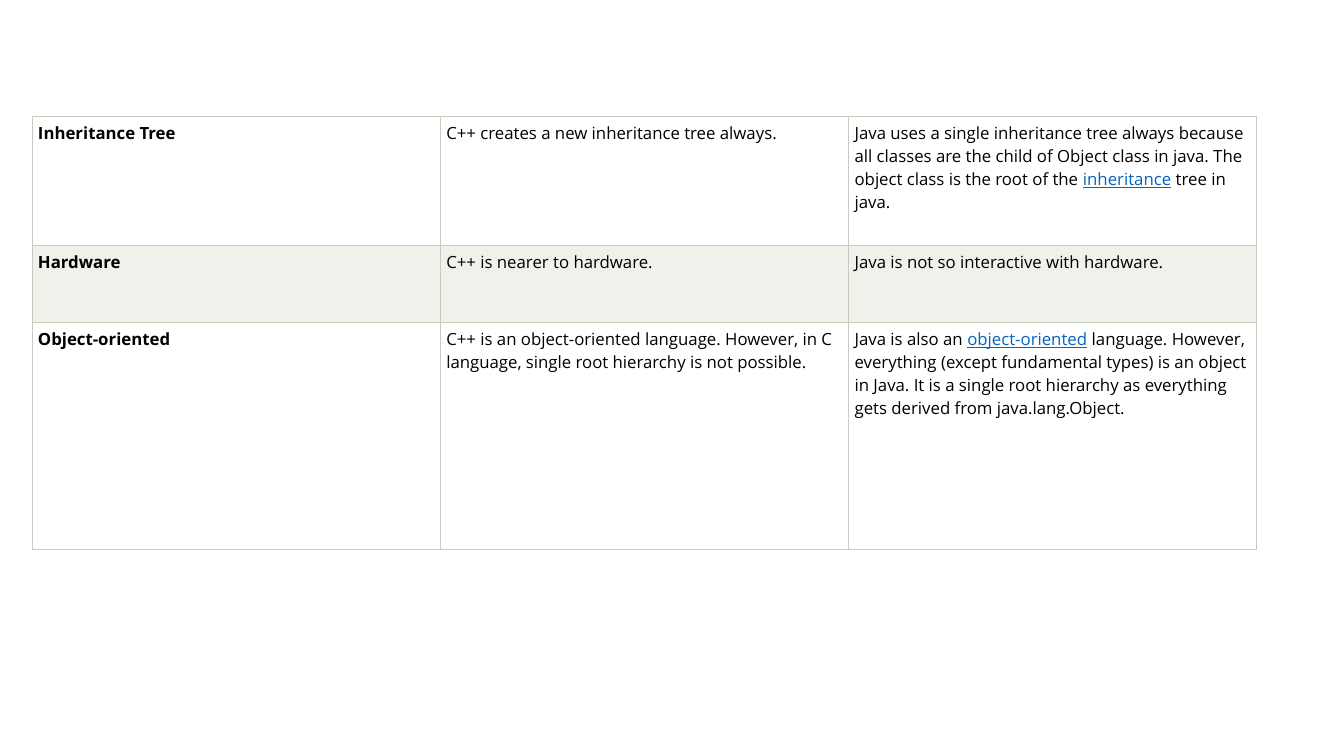
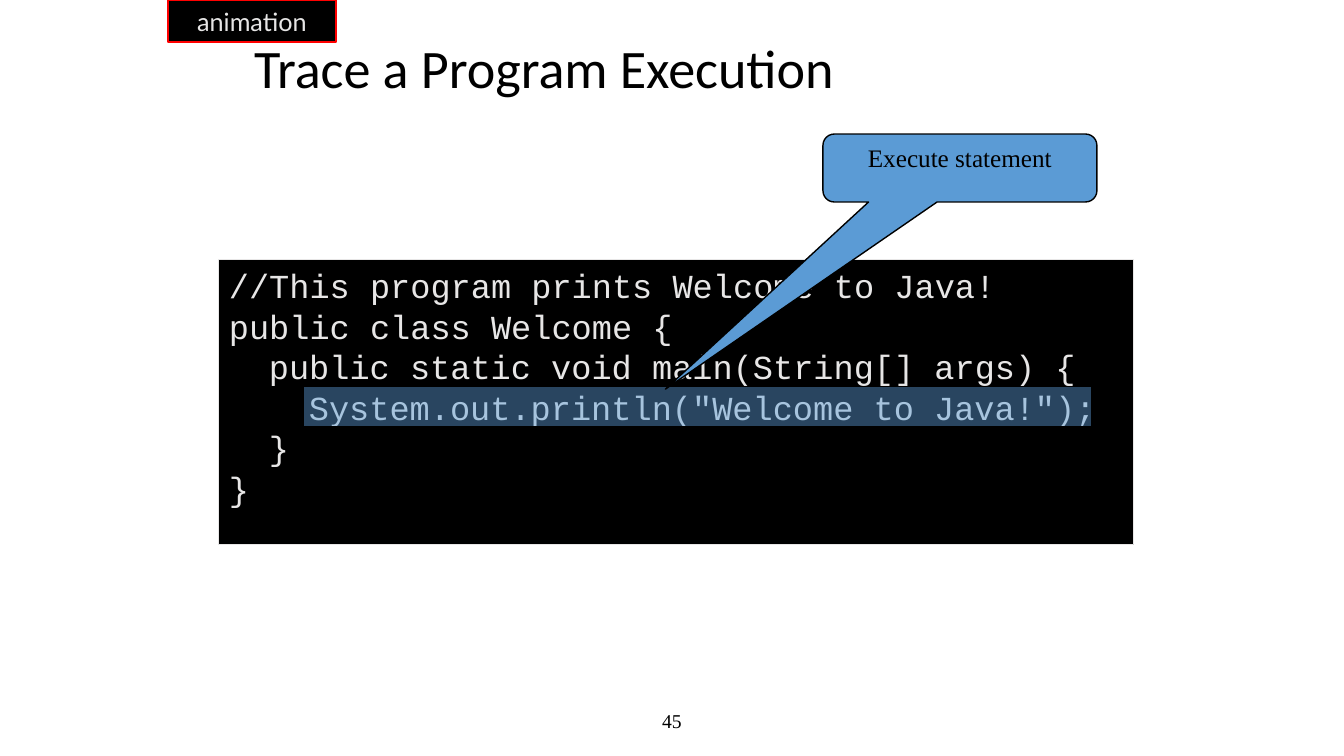
from dataclasses import dataclass

from lxml.etree import SubElement
from pptx import Presentation
from pptx.dml.color import RGBColor
from pptx.enum.shapes import MSO_SHAPE
from pptx.enum.text import MSO_ANCHOR, PP_ALIGN
from pptx.oxml.ns import qn
from pptx.util import Emu, Pt


@dataclass(frozen=True)
class Theme:
    black: str = "000000"
    white: str = "FFFFFF"
    light: str = "E7E6E6"
    blue: str = "5B9BD5"
    red: str = "FF0000"
    link: str = "0563C1"
    band: str = "EFF1EB"
    border: str = "C7CCBE"
    table_font: str = "Open Sans"
    title_font: str = "Calibri"
    code_font: str = "Courier New"
    note_font: str = "Times New Roman"
    tag_font: str = "Lato"
    table_size: float = 12
    title_size: float = 38.7
    code_size: float = 24
    label_size: float = 18
    number_size: float = 14


T = Theme()
NBSP = "\u00a0"
TITLE_ONLY, BLANK = 5, 6


def px(n):
    return Emu(round(n * 914400 / 100.8))


def place(box):
    return [px(n) for n in box]


def rgb(color):
    return RGBColor.from_string(color)


def add_run(p, text, font, size, color=T.black, bold=False, underline=False):
    r = p.add_run()
    r.text = text
    f = r.font
    f.name, f.size, f.bold, f.underline = font, Pt(size), bold, underline
    f.color.rgb = rgb(color)


def set_text(tf, text, align=PP_ALIGN.LEFT, anchor=MSO_ANCHOR.TOP, wrap=True, **fmt):
    tf.word_wrap = wrap
    tf.vertical_anchor = anchor
    p = tf.paragraphs[0]
    p.alignment = align
    add_run(p, text, **fmt)
    return p


def add_box(slide, box, fill, line, width=1, kind=MSO_SHAPE.RECTANGLE, alpha=None):
    sp = slide.shapes.add_shape(kind, *place(box))
    sp.shadow.inherit = False
    sp.fill.solid()
    sp.fill.fore_color.rgb = rgb(fill)
    if alpha is not None:
        color = sp.fill._xPr.find(qn("a:solidFill"))[0]
        SubElement(color, qn("a:alpha"), val=str(alpha * 1000))
    sp.line.color.rgb = rgb(line)
    sp.line.width = Pt(width)
    return sp


# Comparison table
def add_borders(cell):
    tcPr = cell._tc.get_or_add_tcPr()
    for side in ("lnL", "lnR", "lnT", "lnB"):
        ln = SubElement(tcPr, qn(f"a:{side}"), w=str(Pt(0.75)))
        fill = SubElement(ln, qn("a:solidFill"))
        SubElement(fill, qn("a:srgbClr"), val=T.border)


def fill_cell(cell, parts, fill, bold):
    add_borders(cell)
    cell.fill.solid()
    cell.fill.fore_color.rgb = rgb(fill)
    cell.margin_left = cell.margin_right = px(6)
    cell.margin_top = cell.margin_bottom = px(6)
    # Every second part of a cell is a link word
    for i, text in enumerate(parts):
        is_link = i % 2 == 1
        add_run(cell.text_frame.paragraphs[0], text, T.table_font, T.table_size,
                T.link if is_link else T.black, bold, is_link)


def add_comparison(slide, box, rows, heights):
    frame = slide.shapes.add_table(len(rows), len(rows[0]), *place(box))
    table = frame.table
    table.first_row = table.horz_banding = False
    for col in table.columns:
        col.width = px(box[2] / len(rows[0]))
    for i, (row, height) in enumerate(zip(rows, heights)):
        table.rows[i].height = px(height)
        for j, parts in enumerate(row):
            fill_cell(table.cell(i, j), parts, T.band if i % 2 else T.white, j == 0)


def comparison_slide(prs):
    slide = prs.slides.add_slide(prs.slide_layouts[BLANK])
    rows = [
        [["Inheritance Tree"],
         ["C++ creates a new inheritance tree always."],
         ["Java uses a single inheritance tree always because all classes are the "
          "child of Object class in java. The object class is the root of the" + NBSP,
          "inheritance", NBSP + "tree in java."]],
        [["Hardware"],
         ["C++ is nearer to hardware."],
         ["Java is not so interactive with hardware."]],
        [["Object-oriented"],
         ["C++ is an object-oriented language. However, in C language, "
          "single root hierarchy is not possible."],
         ["Java is also an" + NBSP, "object-oriented",
          NBSP + "language. However, everything (except fundamental types) is an "
          "object in Java. It is a single root hierarchy as everything gets "
          "derived from java.lang.Object."]],
    ]
    heights = [129, 77, 227]
    add_comparison(slide, (32, 116, 1225, sum(heights)), rows, heights)


# Program trace
def add_title(slide, box, text):
    title = slide.shapes.title
    title.left, title.top, title.width, title.height = place(box)
    p = set_text(title.text_frame, text, anchor=MSO_ANCHOR.MIDDLE,
                 font=T.title_font, size=T.title_size)
    p.line_spacing = 0.9


def add_code(slide, box, lines, current):
    x, y, w, _ = box
    line_height, level_width = 40.4, 40
    tf = add_box(slide, box, T.black, T.light, 0.75).text_frame
    tf.word_wrap = True
    tf.vertical_anchor = MSO_ANCHOR.TOP
    for i, (level, text) in enumerate(lines):
        p = tf.paragraphs[0] if i == 0 else tf.add_paragraph()
        p.alignment = PP_ALIGN.LEFT
        p.line_spacing = Pt(28.9)
        p.space_before = Pt(0 if i else 4)
        p._p.get_or_add_pPr().set("marL", str(px(level * level_width)))
        add_run(p, text, T.code_font, T.code_size, T.light)
    # Highlight over the current line
    left = lines[current][0] * level_width + 4
    add_box(slide, (x + left, y + 5 + current * line_height, w - left - 42, 41),
            T.blue, T.black, alpha=45)


def add_callout(slide, box, text):
    sp = add_box(slide, box, T.blue, T.black,
                 kind=MSO_SHAPE.ROUNDED_RECTANGULAR_CALLOUT)
    for i, value in enumerate((-1.075, 3.253, 0.167)):
        sp.adjustments[i] = value
    set_text(sp.text_frame, text, PP_ALIGN.CENTER,
             font=T.note_font, size=T.label_size)


def add_tag(slide, box, text):
    sp = add_box(slide, box, T.black, T.red)
    set_text(sp.text_frame, text, PP_ALIGN.CENTER, MSO_ANCHOR.MIDDLE, wrap=False,
             font=T.tag_font, size=T.label_size, color=T.light)


def add_page_number(slide, box, text):
    sp = slide.shapes.add_textbox(*place(box))
    set_text(sp.text_frame, text, PP_ALIGN.CENTER, MSO_ANCHOR.MIDDLE,
             font=T.note_font, size=T.number_size)


def trace_slide(prs):
    slide = prs.slides.add_slide(prs.slide_layouts[TITLE_ONLY])
    code = [
        (0, "//This program prints Welcome to Java!"),
        (0, "public class Welcome {"),
        (1, "public static void main(String[] args) {"),
        (2, 'System.out.println("Welcome to Java!");'),
        (1, "}"),
        (0, "}"),
    ]
    add_page_number(slide, (445, 701, 454, 40), "45")
    add_code(slide, (219, 260, 915, 285), code, current=3)
    add_title(slide, (244, 42, 857, 58), "Trace a Program Execution")
    add_callout(slide, (823, 134, 274, 68), "Execute statement")
    add_tag(slide, (168, 0, 168, 42), "animation")


prs = Presentation()
prs.slide_width, prs.slide_height = px(1344), px(756)
comparison_slide(prs)
trace_slide(prs)
prs.save("out.pptx")
